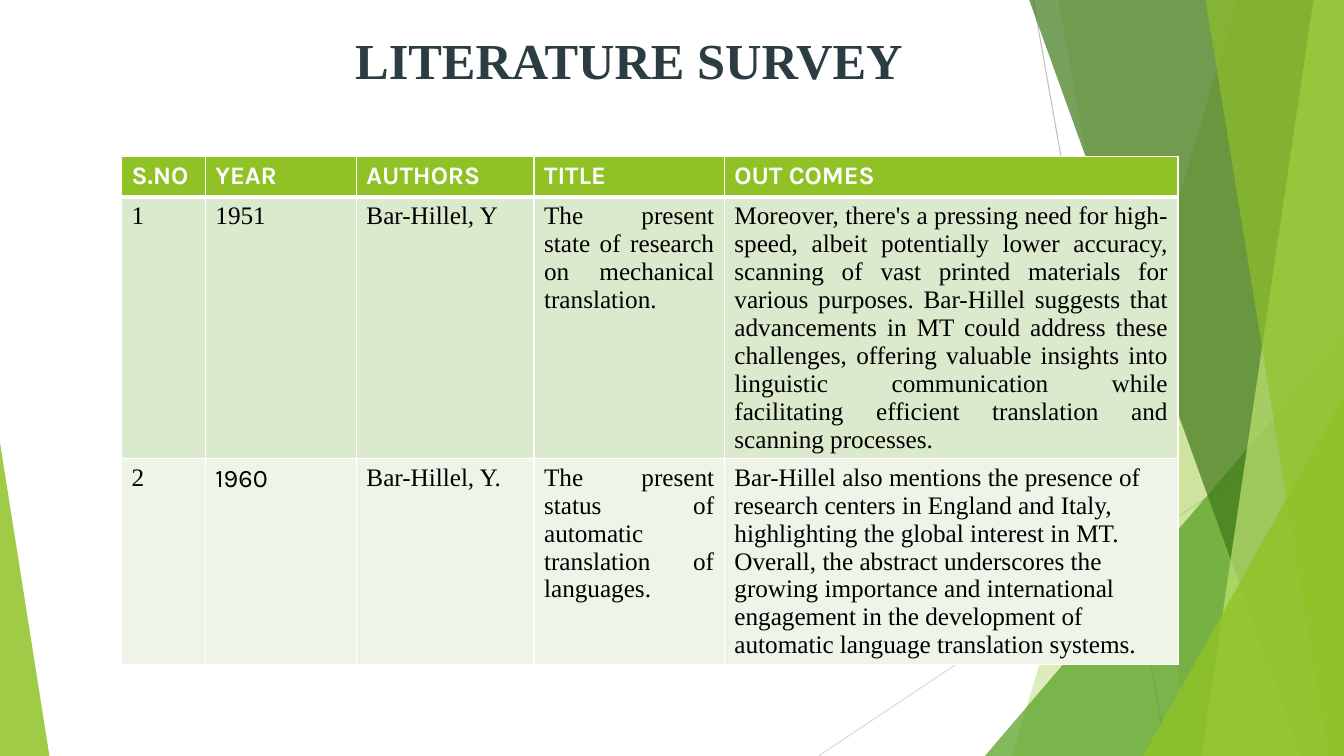
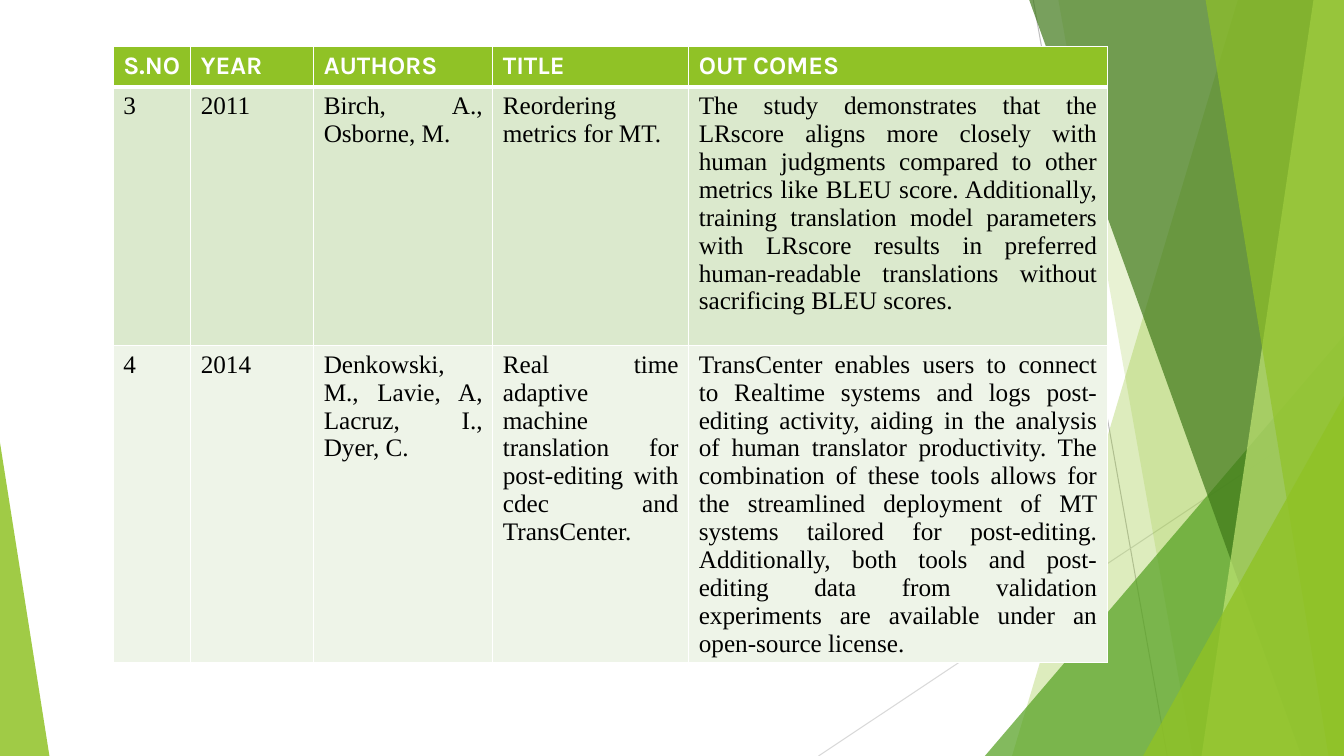
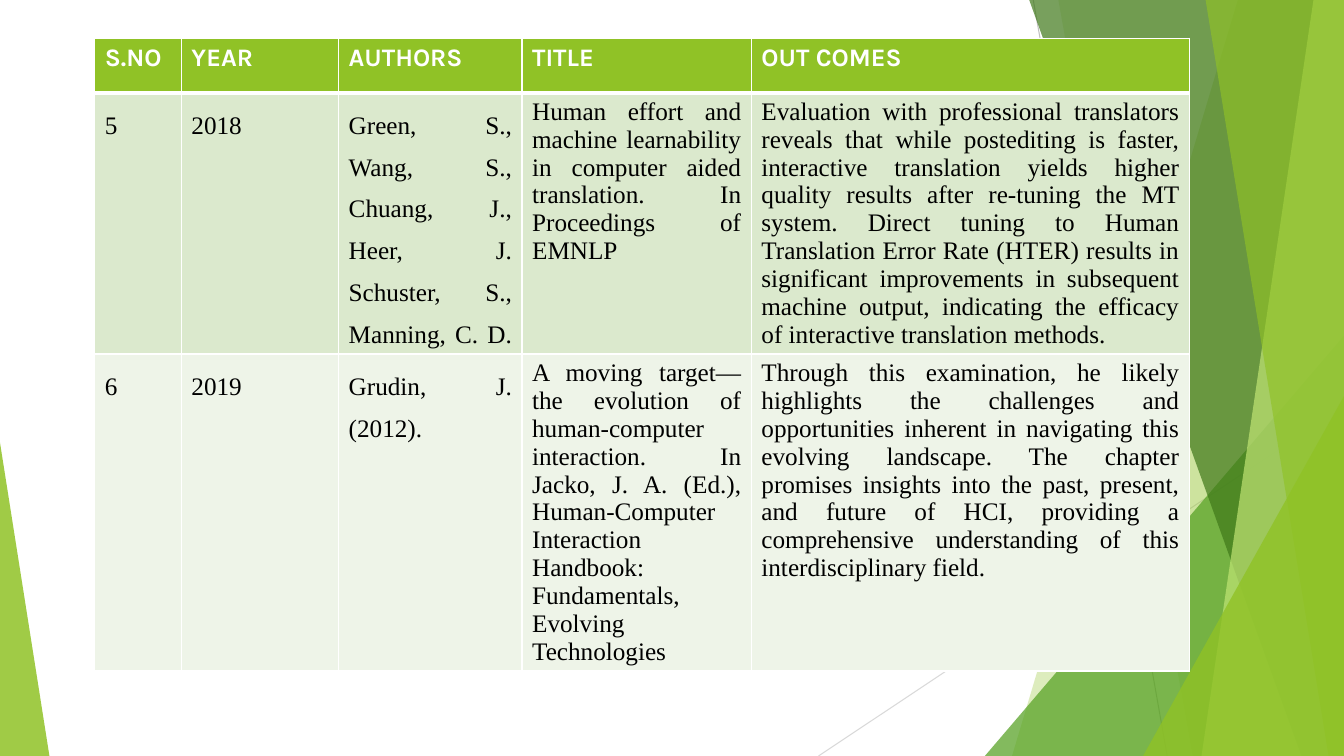
from lxml.etree import SubElement
from pptx import Presentation
from pptx.dml.color import RGBColor
from pptx.enum.shapes import MSO_CONNECTOR as CONN, MSO_SHAPE as SHAPE
from pptx.enum.text import PP_ALIGN as AL
from pptx.oxml import parse_xml
from pptx.oxml.ns import nsdecls, qn
from pptx.util import Inches, Pt

SERIF, SANS = "Times New Roman", "Karla"
GREEN, MID, DARK, LIME = "90C226", "54A021", "3F7819", "C0E474"
WHITE, BLACK, INK = "FFFFFF", "000000", "2C3C43"
BODY_FILLS = ["DBE9CD", "EEF4E8"]
HEADINGS = ["S.NO", "YEAR", "AUTHORS", "TITLE", "OUT COMES"]


def rgb(color):
    return RGBColor.from_string(color)


def write(tf, text, size=18, font=SERIF, color=BLACK, bold=False,
          align=AL.JUSTIFY, spacing=None):
    p = tf.paragraphs[0]
    p.alignment = align
    if spacing:
        p.line_spacing = spacing
    r = p.add_run()
    r.text = text
    r.font.size, r.font.name, r.font.bold = Pt(size), font, bold
    r.font.color.rgb = rgb(color)


class Deck:
    """Style and current slide; all lengths are percent of the slide's size."""

    def __init__(self):
        self.prs = Presentation()
        self.prs.slide_width, self.prs.slide_height = Inches(13.33), Inches(7.5)
        self.s = None

    def x(self, share):
        return round(self.prs.slide_width * share / 100)

    def y(self, share):
        return round(self.prs.slide_height * share / 100)

    def box(self, left, top, width, height):
        return self.x(left), self.y(top), self.x(width), self.y(height)

    def new_slide(self):
        self.s = self.prs.slides.add_slide(self.prs.slide_layouts[6])
        self.backdrop()

    def backdrop(self):
        self.line(76.88, 0, 86.85, 100, "BFBFBF")
        self.line(100, 53.73, 60.9, 100, "D9D9D9")
        self.band(92.1, 75.3, GREEN, 30)
        self.band(78.75, 88.73, GREEN, 20)
        self.triangle(73.28, 44.4, 26.72, 1, MID, 72)
        self.band(76.58, 96.83, DARK, 70)
        self.band(97.73, 89.4, LIME, 70)
        self.band(89.7, 98.85, GREEN, 65)
        self.triangle(85.05, 52.4, 14.95, 1, GREEN, 80)
        self.triangle(0, 58.53, 3.68, 0, GREEN, 85)

    def line(self, x1, y1, x2, y2, color):
        c = self.s.shapes.add_connector(
            CONN.STRAIGHT, self.x(x1), self.y(y1), self.x(x2), self.y(y2))
        c.line.color.rgb, c.line.width = rgb(color), Pt(0.75)
        SubElement(c._element.spPr, qn("a:effectLst"))

    def paint(self, shape, color, opacity):
        shape.shadow.inherit = False
        shape.line.fill.background()
        shape.fill.solid()
        shape.fill.fore_color.rgb = rgb(color)
        clr = shape._element.spPr.find(qn("a:solidFill"))[0]
        SubElement(clr, qn("a:alpha"), val=str(opacity * 1000))

    def band(self, top_x, bottom_x, color, opacity):
        """Full-height band from a slanted left side to the right edge."""
        fb = self.s.shapes.build_freeform(self.x(top_x), 0)
        fb.add_line_segments([(self.x(100), 0), (self.x(100), self.y(100)),
                              (self.x(bottom_x), self.y(100))], close=True)
        self.paint(fb.convert_to_shape(), color, opacity)

    def triangle(self, left, top, width, apex, color, opacity):
        """Triangle standing on the bottom edge."""
        sp = self.s.shapes.add_shape(SHAPE.ISOSCELES_TRIANGLE,
                                     *self.box(left, top, width, 100 - top))
        sp.adjustments[0] = apex
        self.paint(sp, color, opacity)

    def title(self, text):
        tf = self.s.shapes.add_textbox(*self.box(24.23, 3.13, 45.15, 8.7)).text_frame
        tf.word_wrap = True
        write(tf, text, size=36, color=INK, bold=True, align=AL.CENTER)

    def cell(self, cell, fill, top=1, bottom=1):
        cell.fill.solid()
        cell.fill.fore_color.rgb = rgb(fill)
        tc_pr = cell._tc.get_or_add_tcPr()
        for i, (side, pt) in enumerate(zip("LRTB", (1, 1, top, bottom))):
            tc_pr.insert(i, parse_xml(
                f'<a:ln{side} {nsdecls("a")} w="{Pt(pt)}"><a:solidFill>'
                f'<a:srgbClr val="{WHITE}"/></a:solidFill></a:ln{side}>'))

    def table(self, left, top, cols, rows, body, loose=0):
        """Survey table; the first `loose` columns have 1.5 line spacing.
        A body entry is a text, or a text with its own format."""
        t = self.s.shapes.add_table(
            len(rows), len(cols),
            *self.box(left, top, sum(cols), sum(rows))).table
        t.horz_banding = False
        for col, share in zip(t.columns, cols):
            col.width = self.x(share)
        for row, share in zip(t.rows, rows):
            row.height = self.y(share)
        for j, heading in enumerate(HEADINGS):
            self.cell(t.cell(0, j), GREEN, bottom=3)
            write(t.cell(0, j).text_frame, heading, font=SANS, color=WHITE,
                  bold=True, align=AL.LEFT)
        for i, (entries, fill) in enumerate(zip(body, BODY_FILLS), 1):
            for j, entry in enumerate(entries):
                text, fmt = (entry, {}) if isinstance(entry, str) else entry
                self.cell(t.cell(i, j), fill, top=3 if i == 1 else 1)
                write(t.cell(i, j).text_frame, text,
                      spacing=1.5 if j < loose else None, **fmt)


def main():
    d = Deck()

    # Survey entries 1 and 2
    d.new_slide()
    d.table(9.04, 20.7, [6.24, 11.24, 13.22, 14.16, 33.76], [5.4, 34.6, 27.1], [
        ["1", "1951", "Bar-Hillel, Y",
         "The present state of research on mechanical translation.",
         "Moreover, there's a pressing need for high-speed, albeit potentially "
         "lower accuracy, scanning of vast printed materials for various "
         "purposes. Bar-Hillel suggests that advancements in MT could address "
         "these challenges, offering valuable insights into linguistic "
         "communication while facilitating efficient translation and scanning "
         "processes."],
        ["2", ("1960", {"font": SANS}), "Bar-Hillel, Y.",
         "The present status of automatic translation of languages.",
         ("Bar-Hillel also mentions the presence of research centers in England "
          "and Italy, highlighting the global interest in MT. Overall, the "
          "abstract underscores the growing importance and international "
          "engagement in the development of automatic language translation "
          "systems.", {"align": AL.LEFT})],
    ])
    d.title("LITERATURE SURVEY")

    # Survey entries 3 and 4
    d.new_slide()
    d.table(8.43, 6.13, [5.76, 9.15, 13.33, 14.58, 31.15], [5.4, 34.2, 41.9], [
        ["3", "2011", "Birch, A., Osborne, M.", "Reordering metrics for MT.",
         "The study demonstrates that the LRscore aligns more closely with human "
         "judgments compared to other metrics like BLEU score. Additionally, "
         "training translation model parameters with LRscore results in "
         "preferred human-readable translations without sacrificing BLEU "
         "scores."],
        ["4", "2014", "Denkowski, M., Lavie, A, Lacruz, I., Dyer, C.",
         "Real time adaptive machine translation for post-editing with cdec and "
         "TransCenter.",
         "TransCenter enables users to connect to Realtime systems and logs "
         "post-editing activity, aiding in the analysis of human translator "
         "productivity. The combination of these tools allows for the "
         "streamlined deployment of MT systems tailored for post-editing. "
         "Additionally, both tools and post-editing data from validation "
         "experiments are available under an open-source license."],
    ])

    # Survey entries 5 and 6
    d.new_slide()
    d.table(7.05, 5.07, [6.45, 11.7, 13.65, 17.06, 32.6], [7.2, 34.55, 41.9], [
        ["5", "2018",
         "Green, S., Wang, S., Chuang, J., Heer, J. Schuster, S., Manning, C. D. ",
         "Human effort and machine learnability in computer aided translation. "
         "In Proceedings of EMNLP",
         "Evaluation with professional translators reveals that while "
         "postediting is faster, interactive translation yields higher quality "
         "results after re-tuning the MT system. Direct tuning to Human "
         "Translation Error Rate (HTER) results in significant improvements in "
         "subsequent machine output, indicating the efficacy of interactive "
         "translation methods."],
        ["6", "2019", "Grudin, J. (2012).",
         "A moving target—the evolution of human-computer interaction. In Jacko, "
         "J. A. (Ed.), Human-Computer Interaction Handbook: Fundamentals, "
         "Evolving Technologies",
         "Through this examination, he likely highlights the challenges and "
         "opportunities inherent in navigating this evolving landscape. The "
         "chapter promises insights into the past, present, and future of HCI, "
         "providing a comprehensive understanding of this interdisciplinary "
         "field."],
    ], loose=3)

    d.prs.save("out.pptx")


if __name__ == "__main__":
    main()
